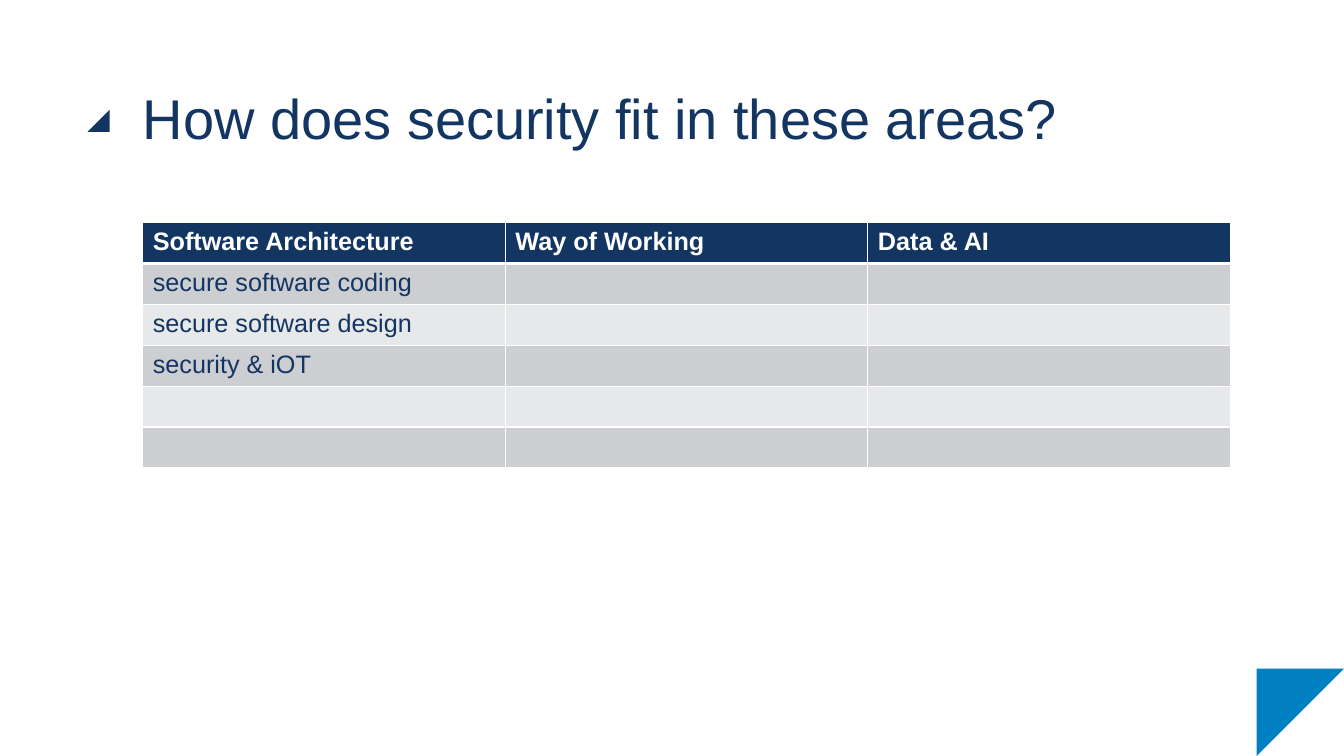
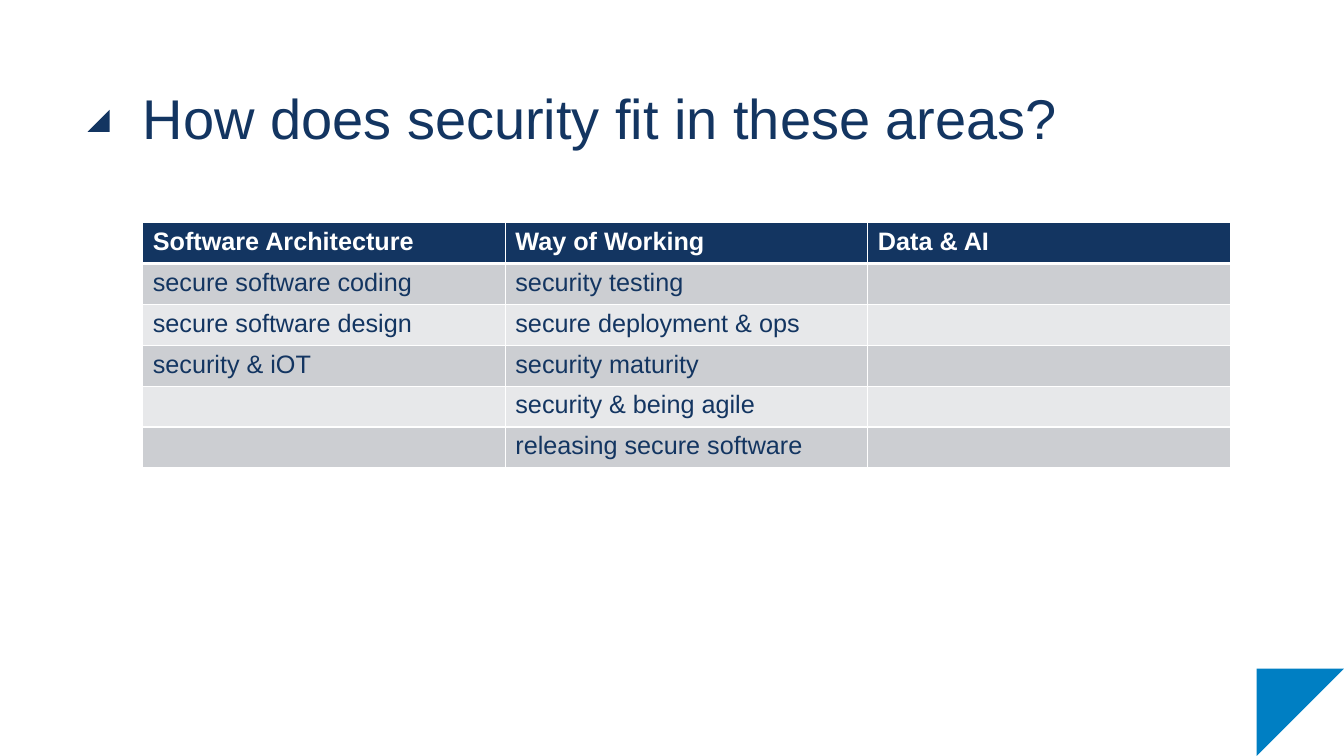
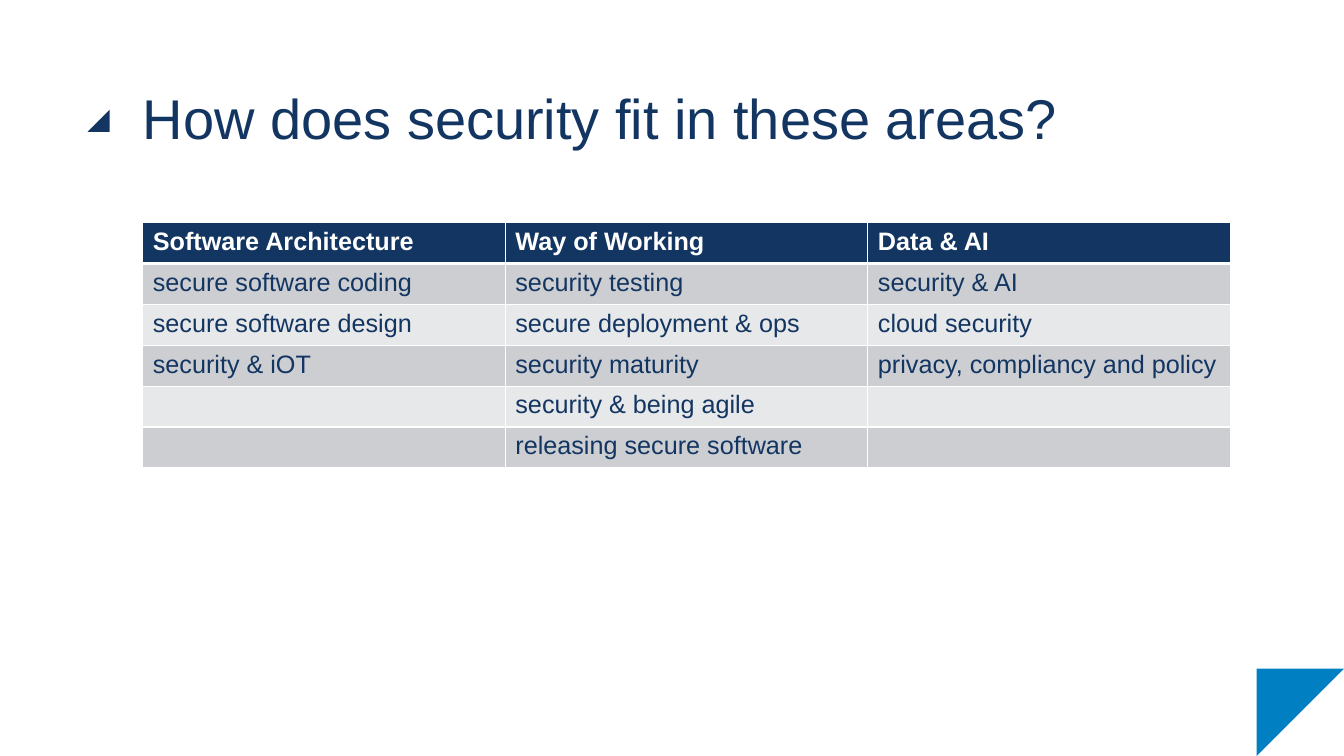
"""Build three slides that fill in, column by column, where security fits."""
from dataclasses import dataclass

from lxml.etree import SubElement
from pptx import Presentation
from pptx.dml.color import RGBColor as Rgb
from pptx.enum.shapes import MSO_SHAPE as Shape
from pptx.enum.text import MSO_ANCHOR as Anchor, MSO_AUTO_SIZE as AutoSize, PP_ALIGN as Align
from pptx.oxml.ns import qn
from pptx.util import Pt


@dataclass(frozen=True)
class Theme:
    navy: str = "133561"
    blue: str = "007FC3"
    white: str = "FFFFFF"
    dark_band: str = "CCCED2"
    light_band: str = "E7E8EA"
    font: str = "Arial"
    title_size: int = 40
    table_size: int = 18
    thin_rule: int = 1
    header_rule: int = 3


def style_text(paragraph, size, color, bold=False):
    for run in paragraph.runs:
        run.font.name = theme.font
        run.font.size = Pt(size)
        run.font.bold = bold
        run.font.color.rgb = Rgb.from_string(color)


def add_border(cell, side, width):
    border = SubElement(cell._tc.get_or_add_tcPr(), qn(f"a:ln{side}"), w=str(Pt(width)))
    SubElement(SubElement(border, qn("a:solidFill")), qn("a:srgbClr"), val=theme.white)


theme = Theme()
title_text = "How does security fit in these areas?"
areas = {
    "Software Architecture": ["secure software coding", "secure software design", "security & iOT"],
    "Way of Working": ["security testing", "secure deployment & ops", "security maturity",
                       "security & being agile", "releasing secure software"],
    "Data & AI": ["security & AI", "cloud security", "privacy, compliancy and policy"],
}
triangles = [
    (62.6, 78.5, 15.7, 270, theme.navy),
    (897.6, 477.6, 62.4, 90, theme.blue),
]
content_left, content_width = 102, 777
title_top, title_height = 57, 102
table_top, row_height = 159, 29.2
row_count = 1 + max(len(topics) for topics in areas.values())

deck = Presentation()
deck.slide_width, deck.slide_height = Pt(960), Pt(540)

for revealed in range(1, len(areas) + 1):
    slide = deck.slides.add_slide(deck.slide_layouts[5])

    for left, top, side, rotation, color in triangles:
        triangle = slide.shapes.add_shape(
            Shape.RIGHT_TRIANGLE, Pt(left), Pt(top), Pt(side), Pt(side))
        triangle.rotation = rotation
        triangle.shadow.inherit = False
        triangle.fill.solid()
        triangle.fill.fore_color.rgb = Rgb.from_string(color)
        triangle.line.fill.background()

    title = slide.shapes.title
    title.left, title.top = Pt(content_left), Pt(title_top)
    title.width, title.height = Pt(content_width), Pt(title_height)
    frame = title.text_frame
    frame.text = title_text
    frame.margin_left = frame.margin_top = frame.margin_right = frame.margin_bottom = 0
    frame.vertical_anchor = Anchor.TOP
    frame.auto_size = AutoSize.NONE
    frame.word_wrap = True
    heading = frame.paragraphs[0]
    heading.alignment = Align.LEFT
    heading.line_spacing = 1.05
    style_text(heading, theme.title_size, theme.navy)

    table = slide.shapes.add_table(
        row_count, len(areas), Pt(content_left), Pt(table_top),
        Pt(content_width), Pt(row_height * row_count)).table
    for row in table.rows:
        row.height = Pt(row_height)

    for column, (area, topics) in enumerate(areas.items()):
        shown = [area] + (topics if column < revealed else [])
        for row in range(row_count):
            is_header = row == 0
            cell = table.cell(row, column)
            for side in "LRTB":
                under_header = (row, side) in [(0, "B"), (1, "T")]
                add_border(cell, side, theme.header_rule if under_header else theme.thin_rule)
            band = theme.dark_band if row % 2 else theme.light_band
            cell.fill.solid()
            cell.fill.fore_color.rgb = Rgb.from_string(theme.navy if is_header else band)
            if row < len(shown):
                cell.text_frame.text = shown[row]
                style_text(cell.text_frame.paragraphs[0], theme.table_size,
                           theme.white if is_header else theme.navy, bold=is_header)

deck.save("out.pptx")
